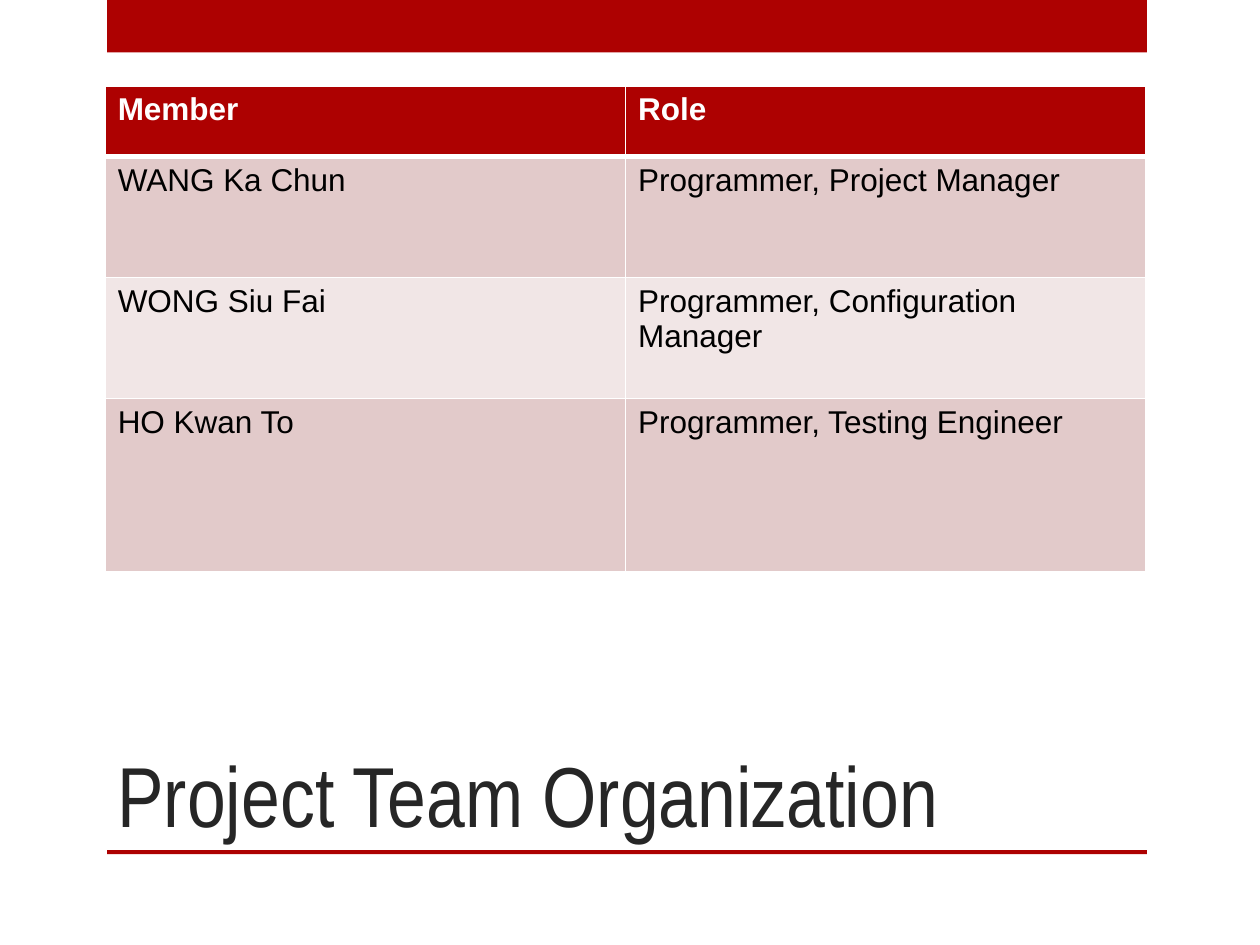
"""Build the Project Team Organization slide with its table of members and roles."""
from dataclasses import dataclass

import pptx
import pptx.dml.color
import pptx.enum.shapes
import pptx.enum.text
import pptx.oxml
import pptx.oxml.ns
import pptx.util
from pptx.util import Cm


@dataclass(frozen=True)
class Theme:
    accent: str = "AD0101"
    title: str = "262626"
    body: str = "000000"
    light: str = "FFFFFF"
    bands: tuple = ("E2CACA", "F1E6E6")
    title_font: str = "Arial Narrow"
    body_font: str = "Arial"
    title_size: float = 48.6
    body_size: float = 18
    rule: float = 1
    header_rule: float = 3


theme = Theme()


def add_text(paragraph, text, font, size, color, bold=False):
    run = paragraph.add_run()
    run.text = text
    run.font.name = font
    run.font.size = pptx.util.Pt(size)
    run.font.bold = bold
    run.font.color.rgb = pptx.dml.color.RGBColor.from_string(color)


def add_border(cell, side, points):
    cell._tc.get_or_add_tcPr().append(pptx.oxml.parse_xml(
        f'<a:ln{side} {pptx.oxml.ns.nsdecls("a")} w="{pptx.util.Pt(points)}">'
        f'<a:solidFill><a:srgbClr val="{theme.light}"/></a:solidFill></a:ln{side}>'))


deck = pptx.Presentation()
deck.slide_width, deck.slide_height = Cm(25.4), Cm(19.05)
slide = deck.slides.add_slide(deck.slide_layouts[6])

for top, height in ((0, 1.06), (17.14, 0.08)):
    band = slide.shapes.add_shape(
        pptx.enum.shapes.MSO_SHAPE.RECTANGLE, Cm(2.16), Cm(top), Cm(20.96), Cm(height))
    band.shadow.inherit = False
    band.fill.solid()
    band.fill.fore_color.rgb = pptx.dml.color.RGBColor.from_string(theme.accent)
    band.line.fill.background()

title = slide.shapes.add_textbox(Cm(2.12), Cm(12.7), Cm(18.85), Cm(4.45)).text_frame
title.word_wrap = True
title.vertical_anchor = pptx.enum.text.MSO_ANCHOR.BOTTOM
add_text(title.paragraphs[0], "Project Team Organization",
         theme.title_font, theme.title_size, theme.title)

members = (
    ("Member", "Role"),
    ("WANG Ka Chun", "Programmer, Project Manager"),
    ("WONG Siu Fai", "Programmer, Configuration Manager"),
    ("HO Kwan To", "Programmer, Testing Engineer"),
)
row_heights = (1.42, 2.44, 2.44, 3.5)
team = slide.shapes.add_table(
    len(members), 2, Cm(2.12), Cm(1.73), Cm(20.98), Cm(sum(row_heights))).table

for row, (entries, height) in enumerate(zip(members, row_heights)):
    team.rows[row].height = Cm(height)
    header = row == 0
    fill = theme.accent if header else theme.bands[(row - 1) % 2]
    for column, entry in enumerate(entries):
        cell = team.cell(row, column)
        add_text(cell.text_frame.paragraphs[0], entry, theme.body_font, theme.body_size,
                 theme.light if header else theme.body, bold=header)
        add_border(cell, "L", theme.rule)
        add_border(cell, "R", theme.rule)
        add_border(cell, "T", theme.header_rule if row == 1 else theme.rule)
        add_border(cell, "B", theme.header_rule if header else theme.rule)
        cell.fill.solid()
        cell.fill.fore_color.rgb = pptx.dml.color.RGBColor.from_string(fill)

deck.save("out.pptx")
